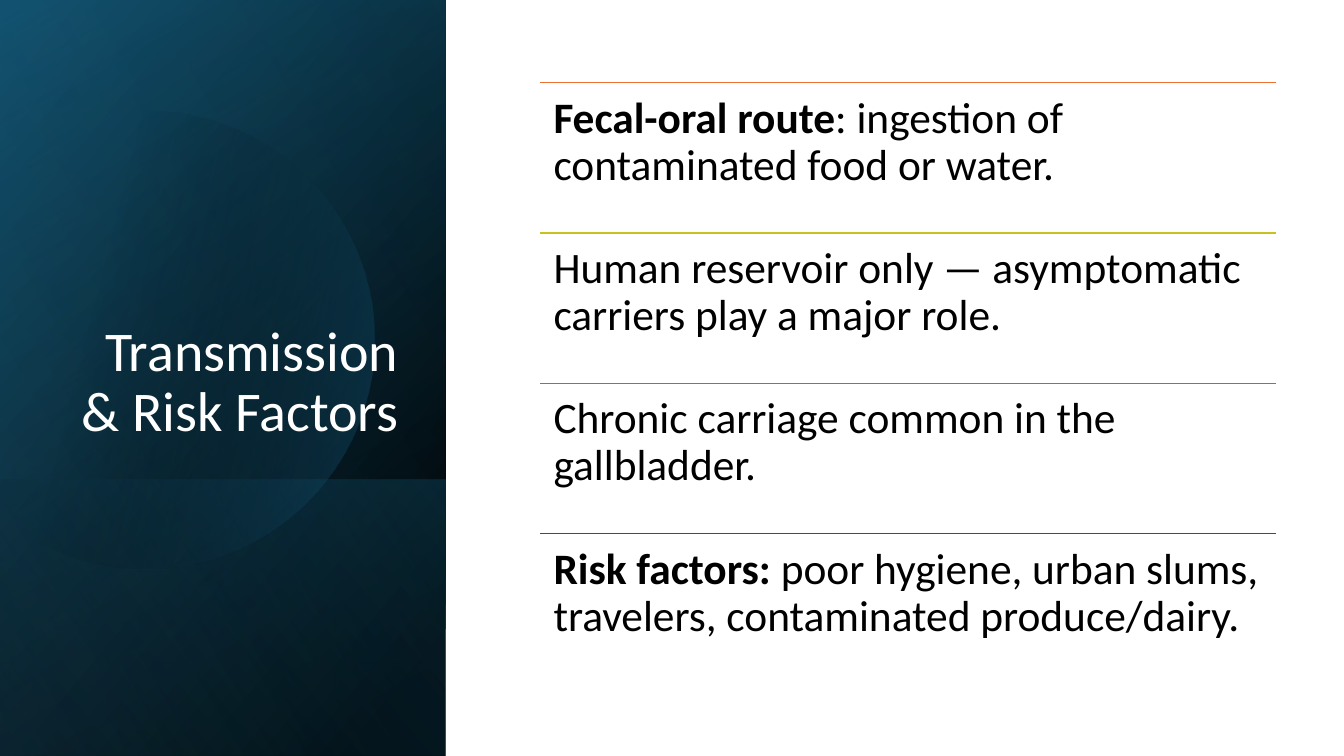
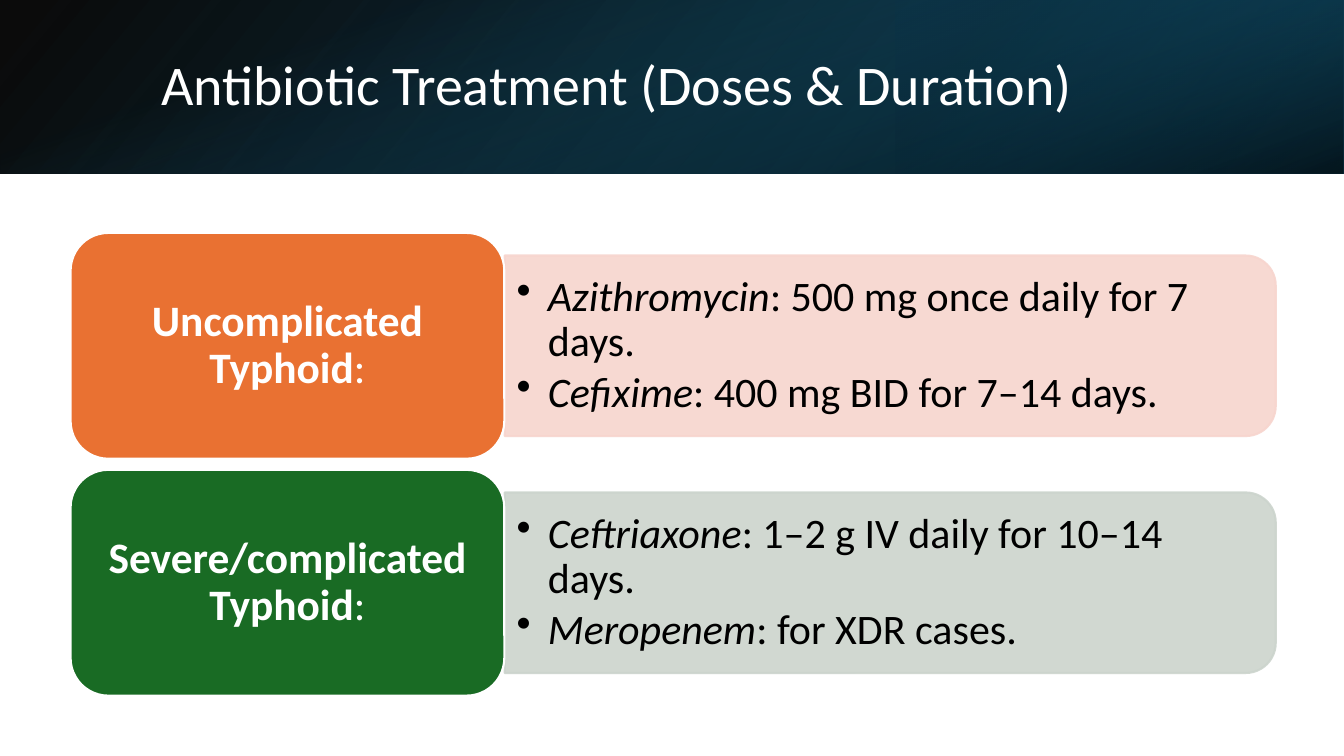
from dataclasses import dataclass
from math import acos, cos, pi, sin

from lxml.etree import SubElement
from pptx import Presentation
from pptx.dml.color import RGBColor
from pptx.enum.shapes import MSO_CONNECTOR, MSO_SHAPE
from pptx.enum.text import MSO_ANCHOR, PP_ALIGN
from pptx.oxml.ns import qn
from pptx.util import Cm, Pt


@dataclass(frozen=True)
class Theme:
    font: str = "Calibri"
    title_size: int = 40
    body_size: int = 31
    bullet_size: int = 30
    white: str = "FFFFFF"
    black: str = "000000"
    navy: str = "104862"
    deep: str = "0B3041"
    teal: str = "156082"
    sky: str = "46B1E1"
    orange: str = "E97132"
    lime: str = "CBC11E"
    leaf: str = "56991D"
    green: str = "196B24"
    pale_orange: str = "F7D5CE"
    pale_green: str = "CCD4CD"


theme = Theme()


def fade(shape, stops, angle):
    """Fill with a linear gradient; each stop is (position, colour, opacity)."""
    shape.shadow.inherit = False
    shape.line.fill.background()
    shape.fill.background()
    properties = shape._element.spPr
    gradient = properties.makeelement(qn("a:gradFill"))
    stop_list = SubElement(gradient, qn("a:gsLst"))
    for position, color, opacity in stops:
        stop = SubElement(stop_list, qn("a:gs"), pos=str(position * 1000))
        tint = SubElement(stop, qn("a:srgbClr"), val=color)
        SubElement(tint, qn("a:alpha"), val=str(opacity * 1000))
    SubElement(gradient, qn("a:lin"), ang=str(angle * 60000), scaled="0")
    properties.replace(properties.find(qn("a:noFill")), gradient)


def write(box, paras, size, color, anchor=MSO_ANCHOR.TOP, align=PP_ALIGN.LEFT,
          margins=(0.25, 0.13), bullets=False):
    """Fill a box; each paragraph is a list of (text, style) spans."""
    frame = box.text_frame
    frame.word_wrap = True
    frame.vertical_anchor = anchor
    frame.margin_left = frame.margin_right = Cm(margins[0])
    frame.margin_top = frame.margin_bottom = Cm(margins[1])
    for index, spans in enumerate(paras):
        para = frame.add_paragraph() if index else frame.paragraphs[0]
        para.alignment = align
        para.line_spacing = 0.9
        if bullets:
            para.space_after = Pt(4)
            settings = para._p.get_or_add_pPr()
            settings.set("marL", str(Cm(0.79)))
            settings.set("indent", str(-Cm(0.79)))
            SubElement(settings, qn("a:buChar"), char="•")
        para.font.name = theme.font
        para.font.size = Pt(size)
        para.font.color.rgb = RGBColor.from_string(color)
        for text, style in spans:
            span = para.add_run()
            span.text = text
            if style == "bold":
                span.font.bold = True
            elif style == "italic":
                span.font.italic = True


deck = Presentation()
deck.slide_width, deck.slide_height = Cm(33.87), Cm(19.05)
risk_page, dose_page = [deck.slides.add_slide(deck.slide_layouts[6]) for _ in range(2)]

# Gradient bands: page, visible area, turn, flipped, stops, angle
side = (0, 0, 11.23, 19.05)
side_foot = (0, 12.09, 11.23, 6.96)
top = (0, 0, 33.87, 4.37)
top_right = (22.58, 0, 11.29, 4.37)
bands = [
    (risk_page, side, 90, True, [(8, theme.black, 100), (100, theme.navy, 100)], 50),
    (risk_page, side, 90, True, [(0, theme.black, 0), (99, theme.teal, 46)], 30),
    (risk_page, side_foot, 90, True, [(2, theme.teal, 29), (100, theme.black, 30)], 130),
    (risk_page, side, 90, True, [(0, theme.black, 0), (99, theme.sky, 11)], 120),
    (dose_page, top, 0, True, [(0, theme.black, 96), (100, theme.navy, 100)], 140),
    (dose_page, top_right, 180, True, [(19, theme.deep, 68), (100, theme.teal, 79)], 320),
    (dose_page, top, 90, False, [(23, theme.teal, 0), (99, theme.black, 74)], 340),
]
for page, (left, upper, width, height), turn, flipped, stops, angle in bands:
    if turn == 90:
        left, upper = left + (width - height) / 2, upper + (height - width) / 2
        width, height = height, width
    band = page.shapes.add_shape(MSO_SHAPE.RECTANGLE, Cm(left), Cm(upper), Cm(width), Cm(height))
    band.rotation = turn
    if flipped:
        band._element.spPr.xfrm.set("flipH", "1")
    fade(band, stops, angle)

# Soft disc on the side band, cut off at the left edge
center_x, center_y, radius, steps = 3.68, 8.55, 5.77, 90
reach = acos(-center_x / radius)
angles = [-reach + 2 * reach * step / steps for step in range(steps + 1)]
points = [(Cm(center_x + radius * cos(a)), Cm(center_y + radius * sin(a))) for a in angles]
outline = risk_page.shapes.build_freeform(*points[0])
outline.add_line_segments(points[1:], close=True)
fade(outline.convert_to_shape(), [(29, theme.black, 0), (100, theme.teal, 43)], 14)

# Titles
titles = [
    (risk_page, "Transmission & Risk Factors", (1.63, 4.67, 8.66, 6.65),
     MSO_ANCHOR.BOTTOM, PP_ALIGN.RIGHT),
    (dose_page, "Antibiotic Treatment (Doses & Duration)", (3.81, 0.97, 27.89, 2.44),
     MSO_ANCHOR.MIDDLE, PP_ALIGN.LEFT),
]
for page, title, area, anchor, align in titles:
    box = page.shapes.add_textbox(*map(Cm, area))
    write(box, [[(title, "")]], theme.title_size, theme.white, anchor, align)

# Transmission: ruled list
facts = [
    (theme.orange, [("Fecal-oral route", "bold"),
                    (": ingestion of contaminated food or water.", "")]),
    (theme.lime, [("Human reservoir only — asymptomatic carriers play a major role.", "")]),
    (theme.leaf, [("Chronic carriage common in the gallbladder.", "")]),
    (theme.green, [("Risk factors: ", "bold"),
                   ("poor hygiene, urban slums, travelers, contaminated produce/dairy.", "")]),
]
fact_left, fact_top, fact_width, fact_height = 13.62, 2.08, 18.53, 3.79
for index, (color, spans) in enumerate(facts):
    y = Cm(fact_top + index * fact_height)
    rule = risk_page.shapes.add_connector(
        MSO_CONNECTOR.STRAIGHT, Cm(fact_left), y, Cm(fact_left + fact_width), y)
    rule.line.color.rgb = RGBColor.from_string(color)
    rule.line.width = Pt(1)
    SubElement(rule._element.spPr, qn("a:effectLst"))
    box = risk_page.shapes.add_textbox(Cm(fact_left), y, Cm(fact_width), Cm(fact_height))
    write(box, [spans], theme.body_size, theme.black, margins=(0.33, 0.33))

# Treatment: a label and a bar of doses per row
treatments = [
    ("Uncomplicated Typhoid", theme.orange, theme.pale_orange,
     [("Azithromycin", ": 500 mg once daily for 7 days."),
      ("Cefixime", ": 400 mg BID for 7–14 days.")]),
    ("Severe/complicated Typhoid", theme.green, theme.pale_green,
     [("Ceftriaxone", ": 1–2 g IV daily for 10–14 days."),
      ("Meropenem", ": for XDR cases.")]),
]
label_left, label_width, label_height, row_pitch = 1.78, 10.93, 5.69, 5.97
bar_left, bar_width, bar_height = 12.72, 19.43, 4.55
for index, (name, color, pale, doses) in enumerate(treatments):
    row_top = 5.87 + index * row_pitch
    middle = row_top + label_height / 2
    bar = dose_page.shapes.add_shape(
        MSO_SHAPE.ROUND_2_SAME_RECTANGLE,
        Cm(bar_left + (bar_width - bar_height) / 2), Cm(middle - bar_width / 2),
        Cm(bar_height), Cm(bar_width))
    bar.rotation = 90
    label = dose_page.shapes.add_shape(
        MSO_SHAPE.ROUNDED_RECTANGLE, Cm(label_left), Cm(row_top),
        Cm(label_width), Cm(label_height))
    for shape, fill, edge in ((bar, pale, pale), (label, color, theme.white)):
        shape.shadow.inherit = False
        shape.fill.solid()
        shape.fill.fore_color.rgb = RGBColor.from_string(fill)
        shape.line.color.rgb = RGBColor.from_string(edge)
        shape.line.width = Pt(1.5)
    for tint in bar._element.spPr.iter(qn("a:srgbClr")):
        SubElement(tint, qn("a:alpha"), val="90000")
    write(label, [[(name, "bold"), (":", "")]], theme.body_size, theme.white,
          MSO_ANCHOR.MIDDLE, PP_ALIGN.CENTER, (0.33, 0.16))
    box = dose_page.shapes.add_textbox(
        Cm(bar_left), Cm(middle - 2.05), Cm(19.2), Cm(4.1))
    write(box, [[(drug, "italic"), (dose, "")] for drug, dose in doses],
          theme.bullet_size, theme.black, MSO_ANCHOR.MIDDLE,
          margins=(0.3, 0.16), bullets=True)

deck.save("out.pptx")
